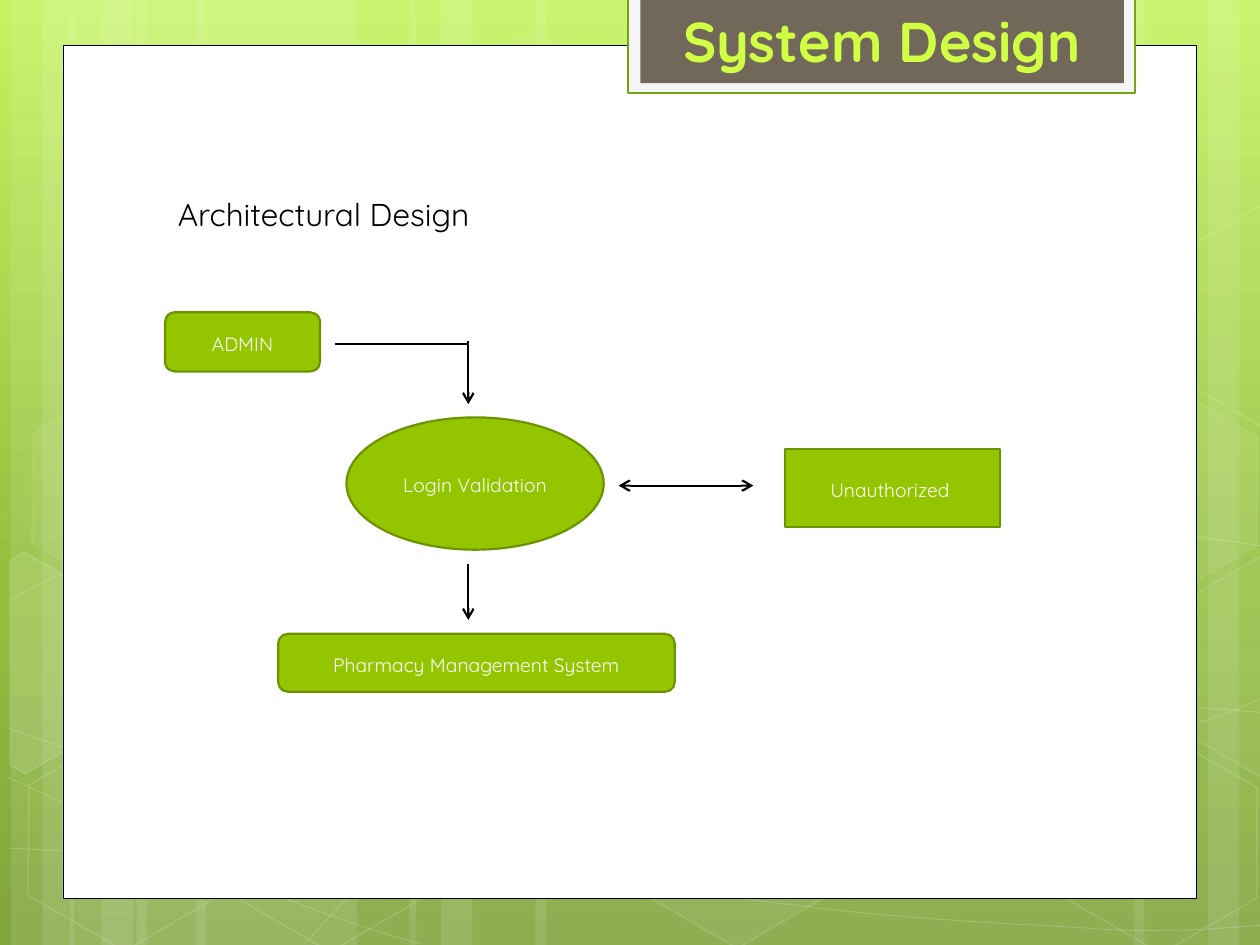
from math import cos, radians, sin
from typing import NamedTuple, Optional

from lxml.etree import SubElement
from pptx import Presentation
from pptx.dml.color import RGBColor
from pptx.enum.shapes import MSO_CONNECTOR, MSO_SHAPE as Preset
from pptx.enum.text import MSO_ANCHOR as Anchor, MSO_AUTO_SIZE as AutoSize, PP_ALIGN as Align
from pptx.oxml.ns import qn
from pptx.util import Pt

FONT = "Quicksand"
WHITE, BLACK = "FFFFFF", "000000"
GREEN, DARK_GREEN = "94C600", "6D9200"
WIDTH, HEIGHT = 720, 540
TILT = 30


class Box(NamedTuple):
    left: float
    top: float
    width: float
    height: float


class Hexagon(NamedTuple):
    left: float
    top: float
    fill_alpha: Optional[int]
    line_alpha: int


class CutHexagon(NamedTuple):
    center: tuple
    corners: list
    fill_alpha: Optional[int]


class Node(NamedTuple):
    label: str
    preset: Preset
    box: Box


class Arrow(NamedTuple):
    start: tuple
    end: tuple
    head: bool = False
    tail: bool = True


STRIPS = [(left + shift, width) for shift in (0, 33.8)
          for left, width in ((78, 126), (6.2, 36), (24.2, 60))]
STRIPS += [(528, 126), (690.2, 36), (648.2, 60), (306, 222), (234, 36), (252, 60)]

# Each curve: a start point, then three Bezier points per segment
CURVES = [
    [(5, 484.6), (43.9, 486.7), (82.8, 488.9), (136.8, 488.2),
     (190.8, 487.4), (257.8, 486), (329.8, 478.8),
     (401.8, 471.6), (504, 457.9), (570.2, 444.2),
     (635.8, 430.6), (703.4, 409), (725, 396.7)],
    [(5, 343.4), (25.9, 331.9), (46.8, 321.1), (87.1, 310.3),
     (128.2, 298.8), (186.5, 283.7), (249.8, 278.6),
     (313.9, 273.6), (391.7, 272.9), (470.9, 278.6),
     (550.1, 284.4), (681.8, 306.7), (725, 312.5)],
    [(4.3, 444.2), (91.4, 483.8), (177.8, 523.4), (240.5, 539.3)],
    [(5, 416.2), (27.4, 424.1), (50.4, 432), (92.2, 443.5),
     (133.9, 454.3), (196.6, 472.3), (257, 484.6),
     (316.8, 496.8), (392.4, 509.8), (452.2, 517),
     (511.9, 524.9), (576, 527.8), (614.2, 529.9),
     (651.6, 532.8), (661.7, 531.4), (680.4, 531.4),
     (699.1, 530.6), (712.1, 529.2), (725, 528.5)],
    [(174.2, 539.3), (187.2, 524.9), (200.2, 510.5), (217.4, 497.5),
     (234.7, 484.6), (259.2, 470.2), (279.4, 460.1),
     (299.5, 450), (311.8, 445.7), (338.4, 438.5),
     (364.3, 431.3), (412.6, 421.2), (437.8, 416.2),
     (463.7, 411.1), (467.3, 411.1), (489.6, 409.7),
     (511.2, 407.5), (547.2, 405.4), (571.7, 404.6),
     (596.9, 403.9), (637.9, 404.6), (637.9, 404.6),
     (654, 404.6), (670, 404.6), (686.2, 404.6),
     (699.1, 405.4), (711.4, 406.1), (717.8, 406.8),
     (724.3, 407.5), (722.2, 406.8), (724.3, 407.5)],
]

HEXAGONS = [
    Hexagon(240.5, 26, 4, 8), Hexagon(358, 424, 6, 12),
    Hexagon(8, 425.5, None, 12), Hexagon(10.2, 224.5, 7, 8),
    Hexagon(125.5, 426, None, 12), Hexagon(542, 326, 10, 12),
    Hexagon(600.5, 427, None, 12), Hexagon(600.5, 226, 7, 8),
]
LEFT_CORNERS = [(5.8, 320.4), (13.7, 315.4), (69.1, 347),
                (68.4, 410.4), (14.4, 442.1), (5.8, 437)]
RIGHT_CORNERS = [(666.7, 349.2), (720.7, 317.5), (726.5, 321.1),
                 (726.5, 441.4), (721.4, 444.2), (666.7, 412.6)]
RISE = 200.5
CUT_HEXAGONS = [
    CutHexagon((26, 385.2), LEFT_CORNERS, 10),
    CutHexagon((709.2, 374.4), RIGHT_CORNERS, 4),
    CutHexagon((709.2, 374.4 - RISE), [(x, y - RISE) for x, y in RIGHT_CORNERS], None),
]

NODES = [
    Node("ADMIN", Preset.ROUNDED_RECTANGLE, Box(94.3, 178.5, 88.6, 33.8)),
    Node("Login Validation", Preset.OVAL, Box(198, 238.5, 147, 75.6)),
    Node("Pharmacy Management System", Preset.ROUNDED_RECTANGLE, Box(159, 362.2, 226.6, 33.1)),
    Node("Unauthorized ", Preset.RECTANGLE, Box(448.6, 256.6, 122.9, 44.6)),
]
ARROWS = [
    Arrow((191.5, 196.5), (267.6, 196.5), tail=False),
    Arrow((267.6, 195), (267.6, 231)),
    Arrow((353.5, 277.5), (430.5, 277.5), head=True),
    Arrow((267.6, 322.5), (267.6, 354.3)),
]


def rgb(value: str) -> RGBColor:
    return RGBColor.from_string(value)


def style(shape, fill: Optional[str] = None, line: Optional[str] = None, weight: float = 1,
          fill_alpha: Optional[int] = 100, line_alpha: int = 100) -> None:
    """Set fill and line; None leaves either out, alphas are percentages."""
    shape.shadow.inherit = False
    if fill and fill_alpha:
        shape.fill.solid()
        shape.fill.fore_color.rgb = rgb(fill)
    else:
        shape.fill.background()
    if line:
        shape.line.color.rgb = rgb(line)
        shape.line.width = Pt(weight)
    else:
        shape.line.fill.background()
    properties = shape._element.spPr
    for tag, alpha in (("a:solidFill", fill_alpha), ("a:ln", line_alpha)):
        part = properties.find(qn(tag))
        if part is not None and alpha < 100:
            for color in part.iter(qn("a:srgbClr")):
                SubElement(color, qn("a:alpha"), val=str(alpha * 1000))


def add_preset(shapes, preset: Preset, box: Box, **look):
    shape = shapes.add_shape(preset, *map(Pt, box))
    style(shape, **look)
    return shape


def add_outline(shapes, points: list, closed: bool):
    start, *rest = [(Pt(x), Pt(y)) for x, y in points]
    builder = shapes.build_freeform(*start)
    builder.add_line_segments(rest, close=closed)
    return builder.convert_to_shape()


def add_curve(shapes, points: list) -> None:
    """Draw an outline, then join each three of its lines into one Bezier segment."""
    shape = add_outline(shapes, points, False)
    outline = next(shape._element.iter(qn("a:path")))
    lines = outline.findall(qn("a:lnTo"))
    for first in range(0, len(lines), 3):
        bezier = SubElement(outline, qn("a:cubicBezTo"))
        for line in lines[first:first + 3]:
            bezier.append(line[0])
            outline.remove(line)
    style(shape, line=WHITE, weight=0.5, line_alpha=20)


def add_cut_hexagon(shapes, cut: CutHexagon) -> None:
    """Draw the corners turned back by the tilt, then tilt the shape."""
    c, s = cos(radians(TILT)), sin(radians(TILT))
    center_x, center_y = cut.center
    offsets = [(x - center_x, y - center_y) for x, y in cut.corners]
    upright = [(center_x + x * c + y * s, center_y - x * s + y * c) for x, y in offsets]
    shape = add_outline(shapes, upright, True)
    style(shape, fill=WHITE, fill_alpha=cut.fill_alpha, line=WHITE, line_alpha=12)
    shape.rotation = TILT


def write(shape, text: str, size: float, color: str, align: Align, anchor: Anchor):
    frame = shape.text_frame
    frame.text = text
    frame.word_wrap = True
    frame.auto_size = AutoSize.NONE
    frame.vertical_anchor = anchor
    paragraph = frame.paragraphs[0]
    paragraph.alignment = align
    paragraph.font.name = FONT
    paragraph.font.size = Pt(size)
    paragraph.font.color.rgb = rgb(color)
    return paragraph


def add_node(shapes, node: Node) -> None:
    shape = add_preset(shapes, node.preset, node.box, fill=GREEN, line=DARK_GREEN, weight=1.25)
    label = write(shape, node.label, 11, WHITE, Align.CENTER, Anchor.MIDDLE)
    label.line_spacing = 1.15
    label.space_after = Pt(10)


def add_arrow(shapes, arrow: Arrow) -> None:
    connector = shapes.add_connector(MSO_CONNECTOR.STRAIGHT, *map(Pt, arrow.start + arrow.end))
    connector.line.color.rgb = rgb(BLACK)
    connector.line.width = Pt(1.25)
    properties = connector._element.spPr
    outline = properties.find(qn("a:ln"))
    for tag, shown in (("a:headEnd", arrow.head), ("a:tailEnd", arrow.tail)):
        if shown:
            SubElement(outline, qn(tag), type="arrow")
    SubElement(properties, qn("a:effectLst"))


def paint_background(slide) -> None:
    fill = slide.background.fill
    fill.gradient()
    fill.gradient_angle = 270
    stops = slide.background._cSld.find(".//" + qn("a:gsLst"))
    stops.clear()
    for position, color in ((0, "C3F35F"), (62, "93BF3F"), (100, "81A53E")):
        stop = SubElement(stops, qn("a:gs"), pos=str(position * 1000))
        SubElement(stop, qn("a:srgbClr"), val=color)


def draw_backdrop(shapes) -> None:
    for left, width in STRIPS:
        add_preset(shapes, Preset.RECTANGLE, Box(left, 0, width, HEIGHT), fill=WHITE, fill_alpha=10)
    for curve in CURVES:
        add_curve(shapes, curve)
    for left, top, fill_alpha, line_alpha in HEXAGONS:
        hexagon = add_preset(shapes, Preset.HEXAGON, Box(left, top, 126, 109.4), fill=WHITE,
                             fill_alpha=fill_alpha, line=WHITE, line_alpha=line_alpha)
        hexagon.adjustments[0] = 0.285
        hexagon.rotation = TILT
    for cut in CUT_HEXAGONS:
        add_cut_hexagon(shapes, cut)
    add_preset(shapes, Preset.RECTANGLE, Box(36, 26, 648, 487.2),
               fill=WHITE, line=BLACK, weight=0.5)
    add_preset(shapes, Preset.RECTANGLE, Box(359, -1.5, 289.7, 54.7),
               fill="F5F5F5", line="74A510", weight=1.25)
    add_preset(shapes, Preset.RECTANGLE, Box(366, -1.5, 276.2, 49), fill="71685A")


def main() -> None:
    deck = Presentation()
    deck.slide_width, deck.slide_height = Pt(WIDTH), Pt(HEIGHT)
    slide = deck.slides.add_slide(deck.slide_layouts[5])
    shapes = slide.shapes
    paint_background(slide)
    draw_backdrop(shapes)

    title = shapes.title
    title.left, title.top, title.width, title.height = map(Pt, (366, 0, 276, 46))
    write(title, "System Design", 32, "D0FF44", Align.CENTER, Anchor.TOP).font.bold = True
    shapes._spTree.append(title._element)  # in front of its plate

    for node in NODES:
        add_node(shapes, node)
    for arrow in ARROWS:
        add_arrow(shapes, arrow)
    heading = shapes.add_textbox(*map(Pt, (94.5, 108, 250.5, 29)))
    write(heading, "Architectural Design", 18, BLACK, Align.LEFT, Anchor.TOP)
    deck.save("out.pptx")


if __name__ == "__main__":
    main()
